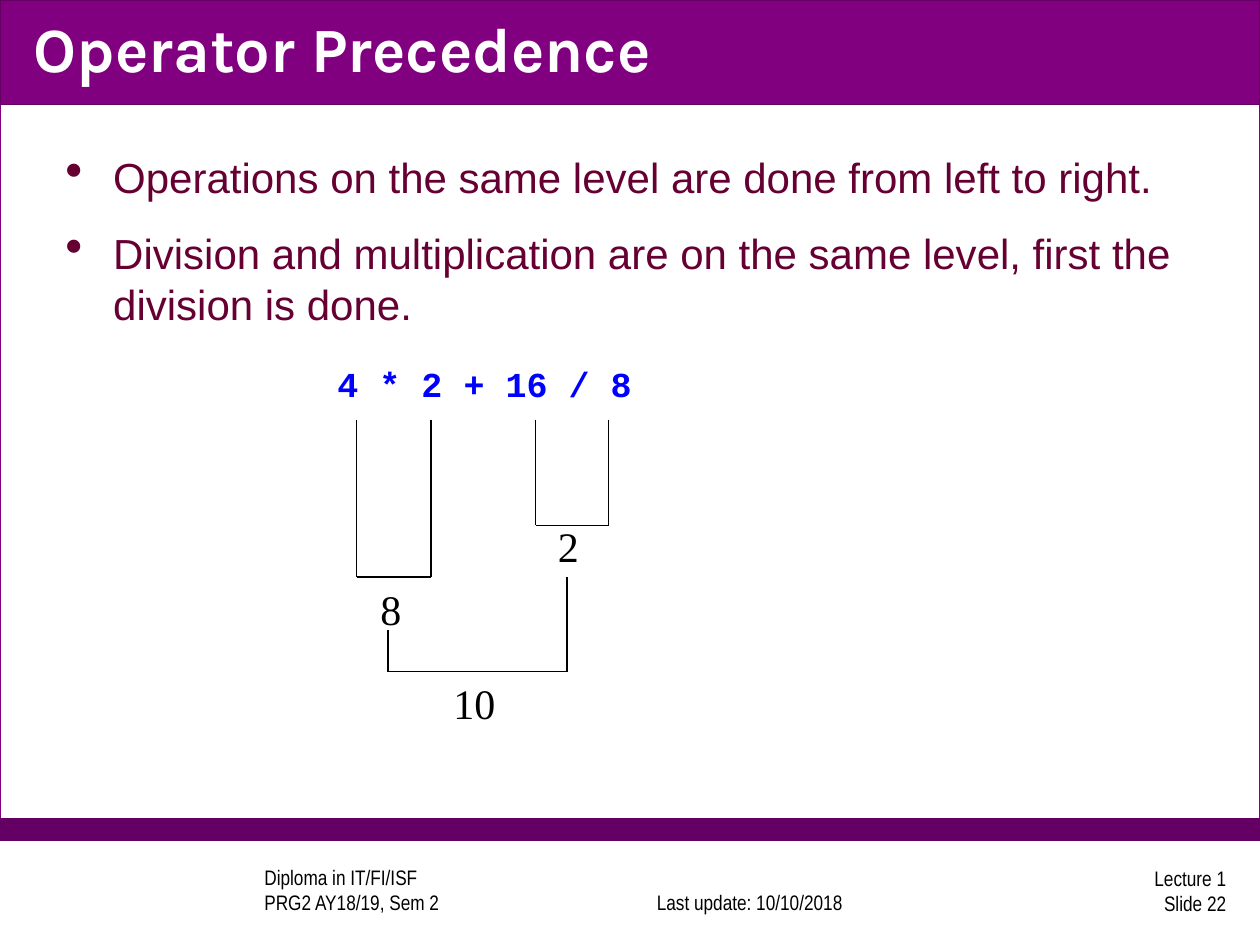
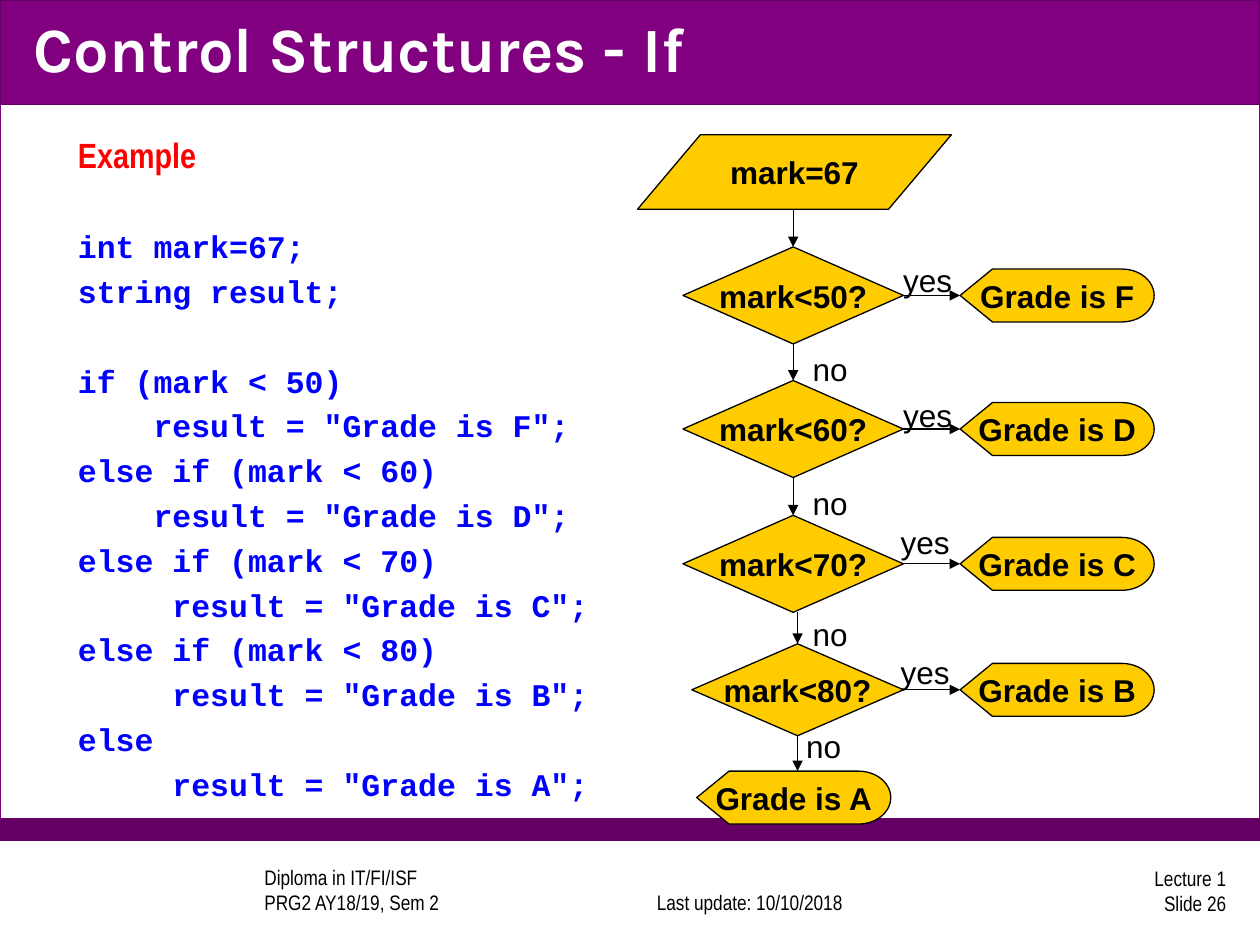
from lxml import etree
from pptx import Presentation
from pptx.dml.color import RGBColor
from pptx.enum.shapes import MSO_CONNECTOR, MSO_SHAPE
from pptx.enum.text import MSO_ANCHOR as ANCHOR, PP_ALIGN as ALIGN
from pptx.oxml.ns import qn
from pptx.util import Inches, Pt

BLACK, WHITE, PURPLE, DARK_PURPLE = "000000", "FFFFFF", "800080", "640064"
MAROON, BLUE, RED, GOLD = "660033", "0000FF", "FF0000", "FFCC00"

# left, top, width, height, fill, line
BANDS = [
    (0, 0, 10, 6.67, WHITE, PURPLE),
    (0, 6.5, 10, 0.17, DARK_PURPLE, DARK_PURPLE),
    (0, 0, 10, 0.83, PURPLE, DARK_PURPLE),
]
# text, box, alignment, anchor; \v is a line break
FOOTERS = [
    ("Diploma in IT/FI/ISF\vPRG2 AY18/19, Sem 2", (2, 6.89, 2.67, 0.42), ALIGN.LEFT, ANCHOR.BOTTOM),
    ("Last update: 10/10/2018", (4.91, 6.89, 2.08, 0.42), ALIGN.CENTER, ANCHOR.BOTTOM),
    ("Lecture 1\vSlide {number}", (7.75, 6.86, 2.08, 0.42), ALIGN.RIGHT, ANCHOR.MIDDLE),
]

RULES = [
    "Operations on the same level are done from left to right.",
    "Division and multiplication are on the same level, first the division is done.",
]
EXPRESSION = "4 * 2 + 16 / 8"
# left x, left top, right x, right top, bottom, result, result box
BRACKETS = [
    (4.25, 3.33, 4.83, 3.33, 4.17, "2", (4.33, 4.08, 0.58, 0.5)),
    (2.83, 3.33, 3.42, 3.33, 4.58, "8", (2.92, 4.58, 0.33, 0.5)),
    (3.08, 5, 4.5, 4.58, 5.33, "10", (3.5, 5.33, 0.58, 0.5)),
]

# Each block of code is set apart by a gap
CODE_BLOCKS = [
    ["int mark=67;", "string result;"],
    [
        "if (mark < 50)",
        '    result = "Grade is F";',
        "else if (mark < 60)",
        '    result = "Grade is D";',
        "else if (mark < 70)",
        '     result = "Grade is C";',
        "else if (mark < 80)",
        '     result = "Grade is B";',
        "else",
        '     result = "Grade is A";',
    ],
]
LINE_GAP, BLOCK_GAP = 4, 29.6

INPUT_BOX = (5.06, 1.07, 2.49, 0.59)
# question, grade, box, "yes" position, "no" position
DECISIONS = [
    ("mark<50?", "Grade is F", (5.42, 1.96, 1.75, 0.77), (7.07, 2.02), (6.35, 2.73)),
    ("mark<60?", "Grade is D", (5.42, 3.02, 1.75, 0.77), (7.07, 3.09), (6.35, 3.79)),
    ("mark<70?", "Grade is C", (5.42, 4.09, 1.75, 0.77), (7.05, 4.1), (6.35, 4.83)),
    ("mark<80?", "Grade is B", (5.49, 5.11, 1.68, 0.73), (7.05, 5.13), (6.3, 5.72)),
]
LAST_GRADE = "Grade is A"
LAST_GRADE_TOP = 6.12
GRADE_LEFT, GRADE_WIDTH, GRADE_HEIGHT = 7.62, 1.54, 0.42


def rgb(color):
    return RGBColor.from_string(color)


def inches(box):
    return [Inches(length) for length in box]


def style(paragraph, size, font, color, bold=False, align=ALIGN.LEFT):
    paragraph.alignment = align
    paragraph.font.size = Pt(size)
    paragraph.font.name = font
    paragraph.font.bold = bold
    paragraph.font.color.rgb = rgb(color)


def add_text(slide, text, box, size, font, color=BLACK, bold=False,
             align=ALIGN.LEFT, anchor=ANCHOR.TOP, wrap=True):
    frame = slide.shapes.add_textbox(*inches(box)).text_frame
    frame.word_wrap = wrap
    frame.vertical_anchor = anchor
    frame.text = text
    style(frame.paragraphs[0], size, font, color, bold, align)
    return frame


def add_box(slide, kind, box, fill, line):
    shape = slide.shapes.add_shape(kind, *inches(box))
    shape.shadow.inherit = False
    shape.fill.solid()
    shape.fill.fore_color.rgb = rgb(fill)
    shape.line.color.rgb = rgb(line)
    shape.line.width = Pt(0.75)
    return shape


def add_step(slide, kind, box, text, wrap=False):
    """Add a gold flow chart step with its label."""
    frame = add_box(slide, kind, box, GOLD, BLACK).text_frame
    frame.word_wrap = wrap
    frame.vertical_anchor = ANCHOR.MIDDLE
    frame.text = text
    style(frame.paragraphs[0], 18, "Arial", BLACK, True, ALIGN.CENTER)


def add_line(slide, start, end, arrow=False):
    line = slide.shapes.add_connector(MSO_CONNECTOR.STRAIGHT, *inches(start + end))
    line.line.color.rgb = rgb(BLACK)
    line.line.width = Pt(0.75)
    if arrow:
        etree.SubElement(line.line._get_or_add_ln(), qn("a:tailEnd"), type="triangle")
    etree.SubElement(line._element.spPr, qn("a:effectLst"))


def add_bullet(paragraph, color):
    properties = paragraph._p.get_or_add_pPr()
    properties.set("marL", str(Inches(0.38)))
    properties.set("indent", str(-Inches(0.38)))
    bullet_color = etree.SubElement(properties, qn("a:buClr"))
    etree.SubElement(bullet_color, qn("a:srgbClr"), val=color)
    etree.SubElement(properties, qn("a:buSzPct"), val="120000")
    etree.SubElement(properties, qn("a:buChar"), char="•")


def add_base_slide(presentation, title, number):
    """Add a slide with the bands, footers and title that all slides share."""
    slide = presentation.slides.add_slide(presentation.slide_layouts[6])
    for *box, fill, line in BANDS:
        add_box(slide, MSO_SHAPE.RECTANGLE, box, fill, line)
    for text, box, align, anchor in FOOTERS:
        add_text(slide, text.format(number=number), box, 12, "Arial Narrow",
                 align=align, anchor=anchor)
    add_text(slide, title, (0.17, 0, 9.83, 0.75), 36, "Karla", WHITE, True,
             anchor=ANCHOR.MIDDLE)
    return slide


def build_precedence(presentation):
    slide = add_base_slide(presentation, "Operator Precedence", 22)
    frame = slide.shapes.add_textbox(*inches((0.42, 1.15, 9.25, 2.12))).text_frame
    frame.word_wrap = True
    frame.text = "\n".join(RULES)
    for index, paragraph in enumerate(frame.paragraphs):
        add_bullet(paragraph, MAROON)
        style(paragraph, 24, "Arial", MAROON)
        if index:
            paragraph.space_before = Pt(15)

    add_text(slide, EXPRESSION, (2.58, 2.83, 3.17, 0.44), 20, "Courier New", BLUE, True)
    for left, left_top, right, right_top, bottom, result, box in BRACKETS:
        add_line(slide, (left, left_top), (left, bottom))
        add_line(slide, (right, right_top), (right, bottom))
        add_line(slide, (left, bottom), (right, bottom))
        add_text(slide, result, box, 24, "Times New Roman")


def add_code(slide):
    frame = add_text(slide, "Example", (0.52, 1.01, 4.75, 5.44), 20, "Arial Narrow", RED, True)
    for block in CODE_BLOCKS:
        for index, code in enumerate(block):
            paragraph = frame.add_paragraph()
            paragraph.text = code
            paragraph.space_before = Pt(LINE_GAP if index else BLOCK_GAP)
            style(paragraph, 18, "Courier New", BLUE, True)


def add_flow_chart(slide):
    add_step(slide, MSO_SHAPE.FLOWCHART_DATA, INPUT_BOX, "mark=67", wrap=True)
    previous_bottom = INPUT_BOX[1] + INPUT_BOX[3]
    for question, grade, box, yes, no in DECISIONS:
        left, top, width, height = box
        center, middle = left + width / 2, top + height / 2
        add_step(slide, MSO_SHAPE.FLOWCHART_DECISION, box, question)
        grade_box = (GRADE_LEFT, middle - GRADE_HEIGHT / 2, GRADE_WIDTH, GRADE_HEIGHT)
        add_step(slide, MSO_SHAPE.FLOWCHART_DISPLAY, grade_box, grade)
        add_line(slide, (center, previous_bottom), (center, top), arrow=True)
        add_line(slide, (left + width, middle), (GRADE_LEFT, middle), arrow=True)
        add_text(slide, "yes", yes + (0.59, 0.4), 18, "Arial", wrap=False)
        add_text(slide, "no", no + (0.48, 0.4), 18, "Arial", wrap=False)
        previous_bottom = top + height

    last_box = (5.53, LAST_GRADE_TOP, GRADE_WIDTH, GRADE_HEIGHT)
    add_step(slide, MSO_SHAPE.FLOWCHART_DISPLAY, last_box, LAST_GRADE)
    add_line(slide, (center, previous_bottom), (center, LAST_GRADE_TOP), arrow=True)


def build_control_structures(presentation):
    slide = add_base_slide(presentation, "Control Structures - If", 26)
    add_code(slide)
    add_flow_chart(slide)


def main():
    presentation = Presentation()
    presentation.slide_width, presentation.slide_height = Inches(10), Inches(7.5)
    build_precedence(presentation)
    build_control_structures(presentation)
    presentation.save("out.pptx")


if __name__ == "__main__":
    main()
